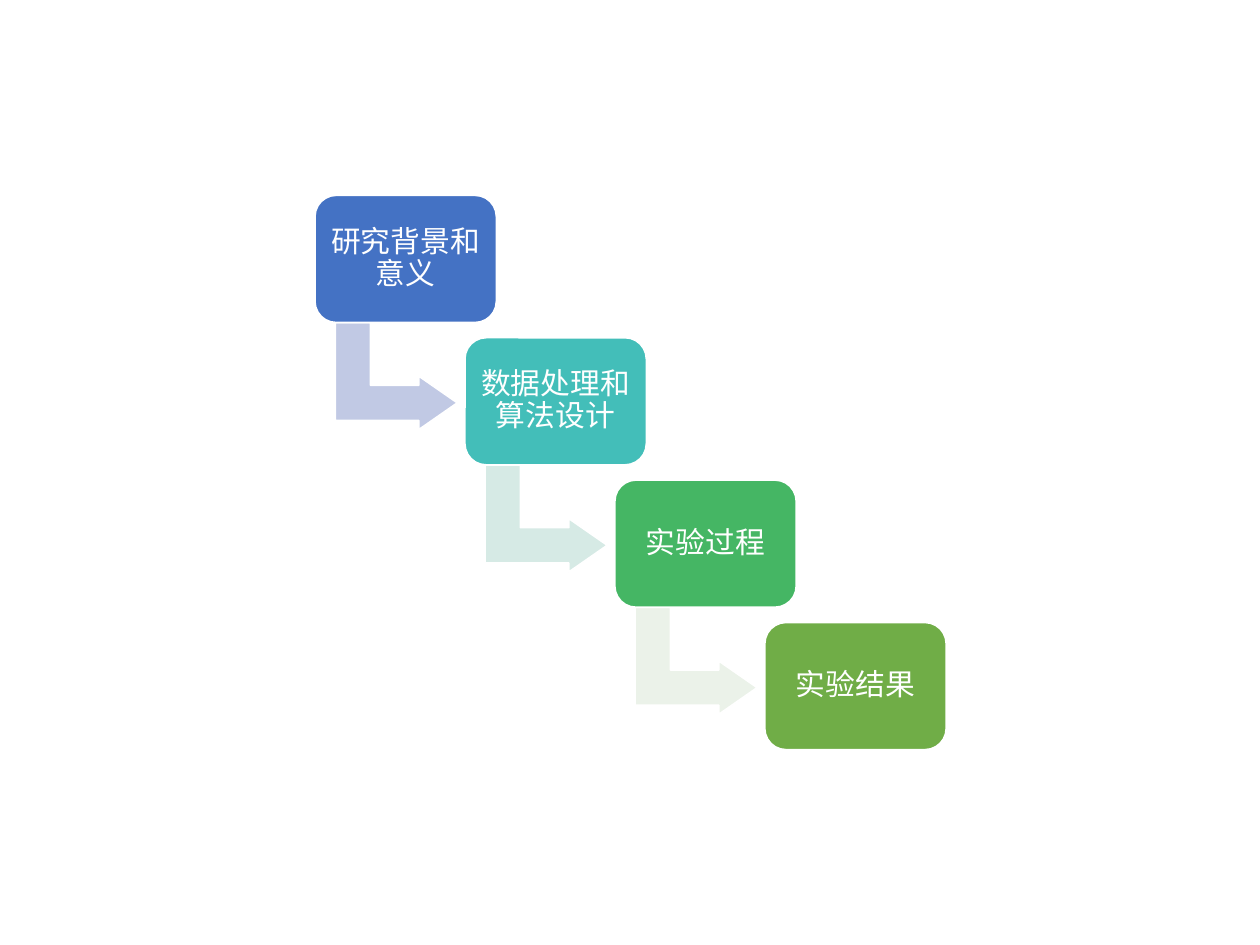
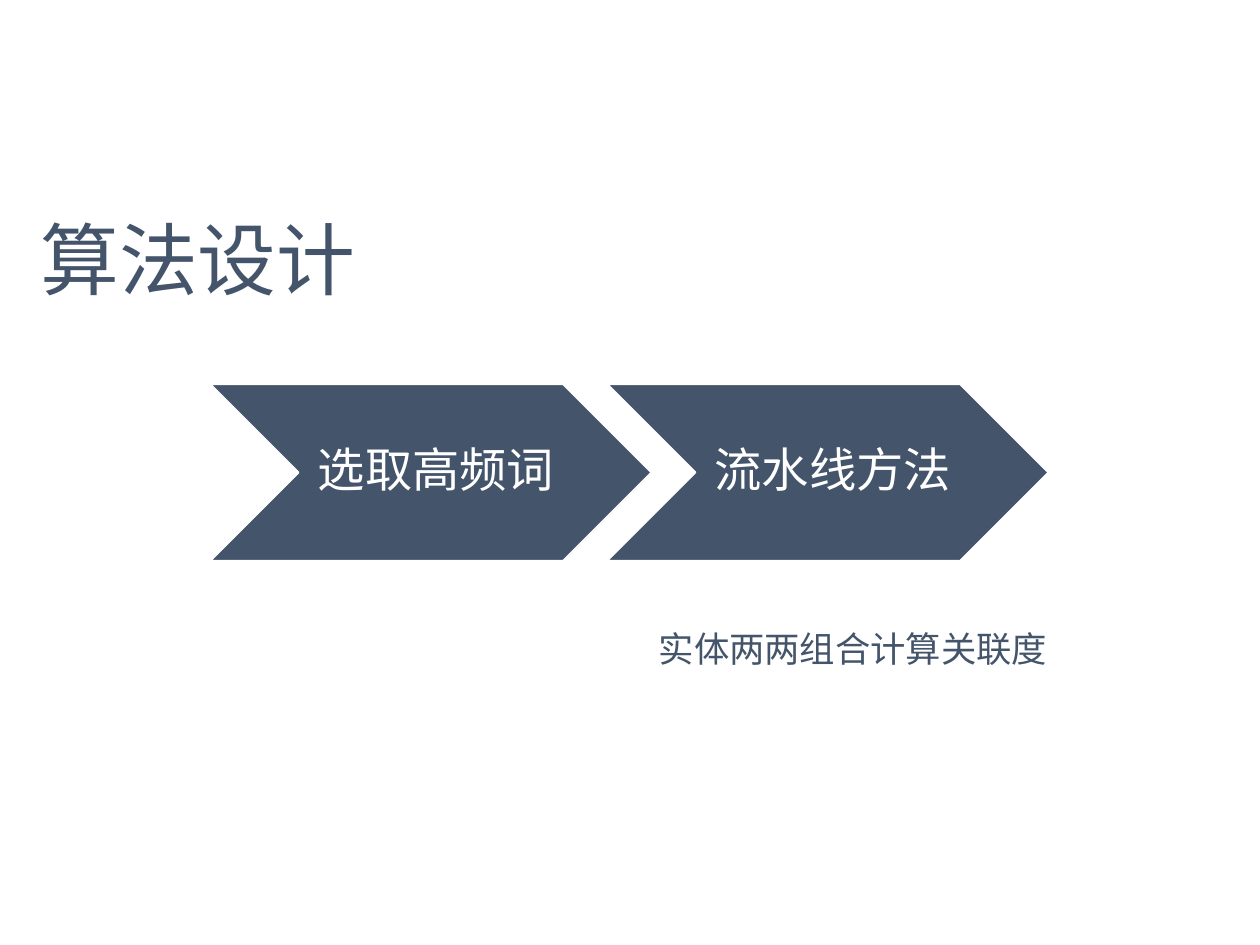
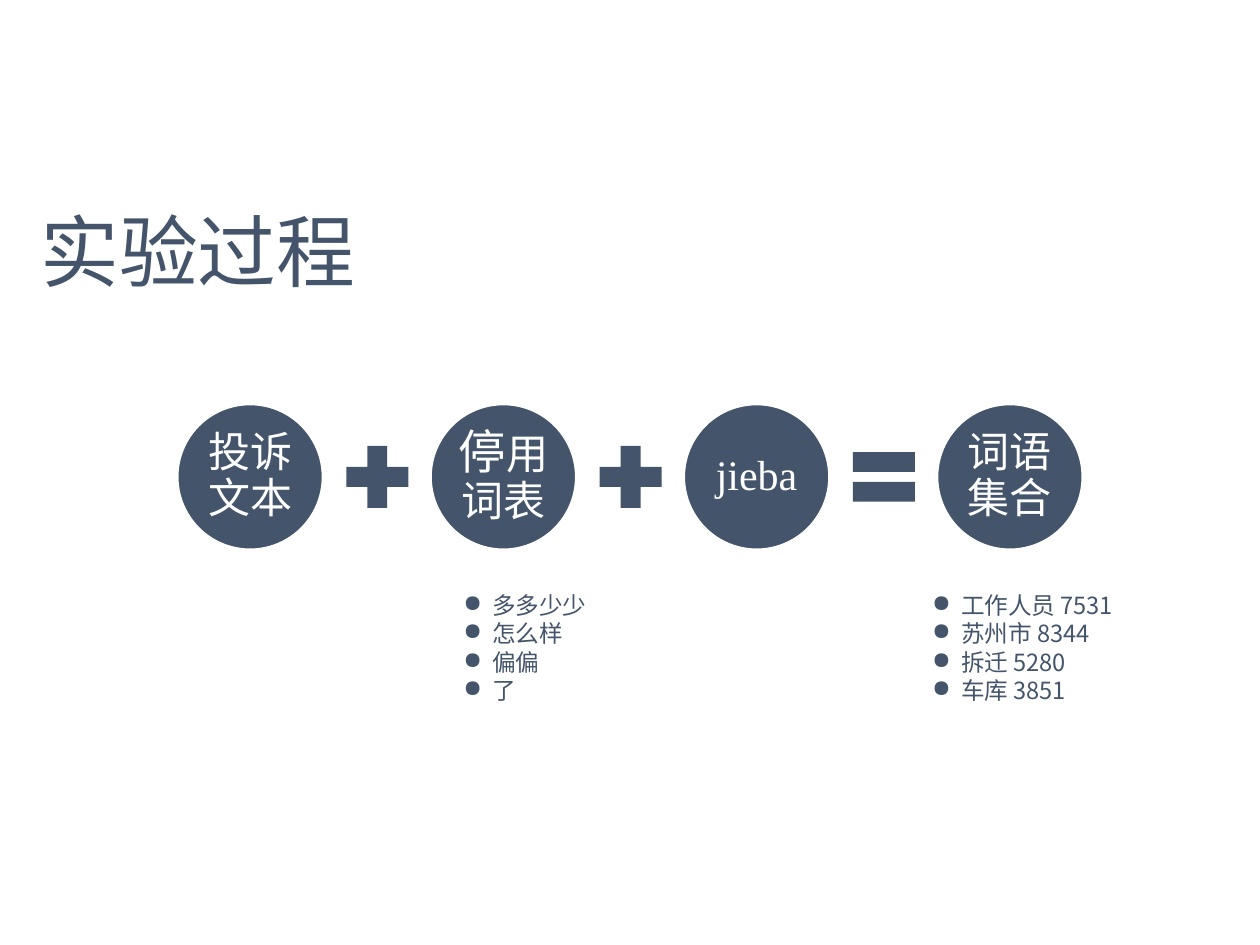
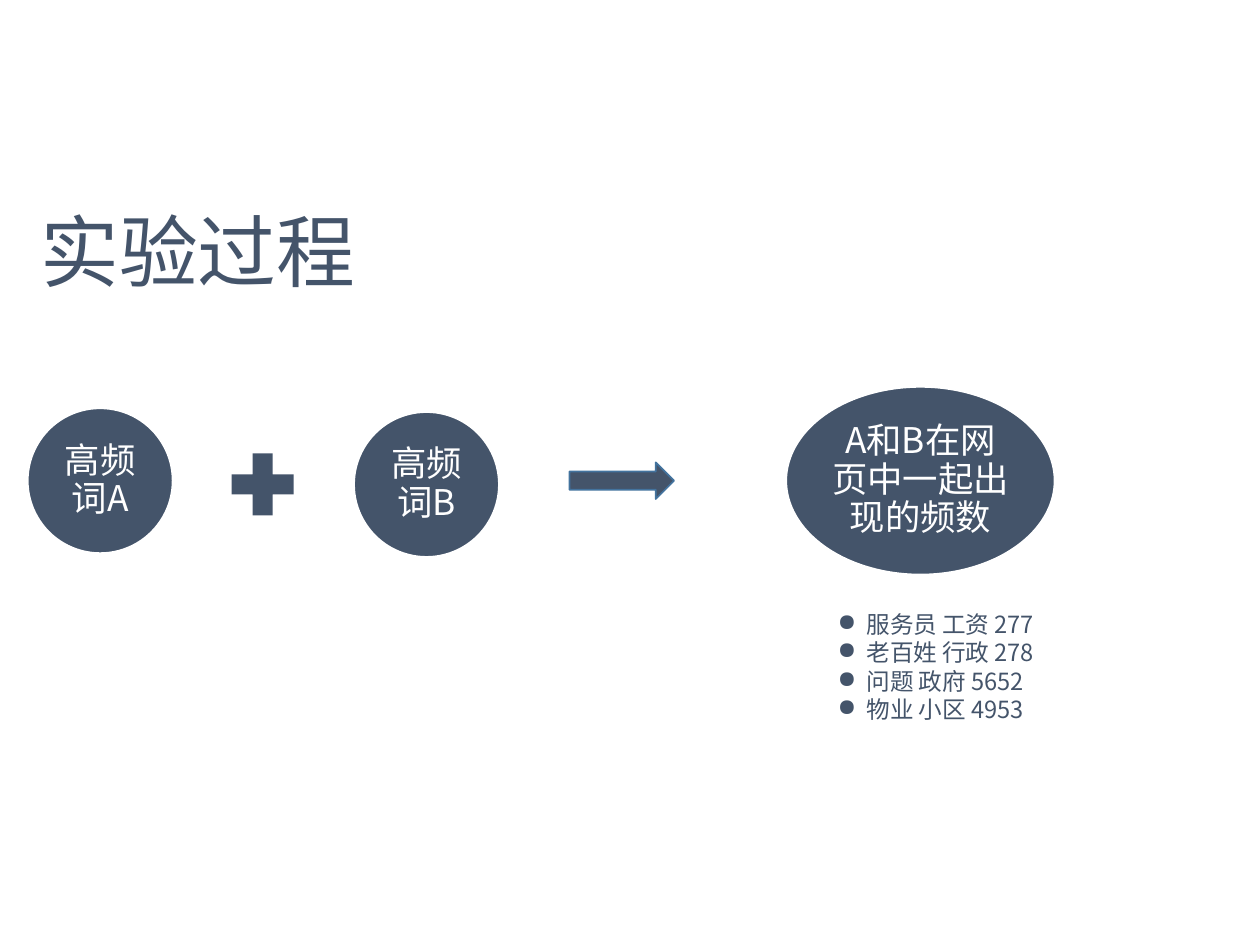
"""Build a four-slide deck on mining complaint texts for related words."""
from lxml import etree
from pptx import Presentation, util as u
from pptx.dml.color import RGBColor
from pptx.enum import shapes, text
from pptx.oxml import ns

SCALE = 9144
WHITE = RGBColor(0xFF, 0xFF, 0xFF)
SLATE = RGBColor(0x44, 0x54, 0x6A)
STEEL = RGBColor(0x43, 0x73, 0x9E)
STAIR_FILLS = [RGBColor.from_string(c) for c in ("4472C4", "43BEB9", "45B664", "70AD47")]
ARROW_FILLS = [RGBColor.from_string(c) for c in ("C1C9E4", "D6EAE5", "EBF2E9")]
CJK = "Noto Sans CJK SC"
LATIN = "Calibri"
SERIF = "Times New Roman"
KIND = shapes.MSO_SHAPE
CIRCLE = 115
OPERATOR = 67


def px(value):
    return u.Emu(value * SCALE)


class Deck:
    """Hold the shared style and the slide being filled."""

    def __init__(self):
        self.show = Presentation()
        self.show.slide_width, self.show.slide_height = px(1000), px(750)
        self.page = None

    def add_page(self, title=None, top=156):
        layouts = self.show.slide_layouts
        self.page = self.show.slides.add_slide(layouts[6 if title is None else 5])
        if title is not None:
            box = self.page.shapes.title
            box.left, box.top, box.width, box.height = px(22), px(top), px(272), px(86)
            self.fill_lines(box.text_frame, [title], 45)

    def add_span(self, para, words, size, color, font=CJK):
        span = para.add_run()
        span.text = words
        span.font.size = u.Pt(size)
        span.font.color.rgb = color
        span.font.name = font
        east = etree.SubElement(span.font._element, ns.qn("a:ea"))
        east.set("typeface", CJK)

    def fill_lines(self, frame, lines, size, font=CJK, bullets=False):
        frame.word_wrap = True
        frame.auto_size = text.MSO_AUTO_SIZE.SHAPE_TO_FIT_TEXT
        frame.vertical_anchor = text.MSO_ANCHOR.TOP
        for index, words in enumerate(lines):
            para = frame.add_paragraph() if index else frame.paragraphs[0]
            para.alignment = text.PP_ALIGN.LEFT
            if bullets:
                props = para._p.get_or_add_pPr()
                props.set("marL", str(px(23)))
                props.set("indent", str(px(-23)))
                etree.SubElement(props, ns.qn("a:buChar")).set("char", "●")
            self.add_span(para, words, size, SLATE, font)

    def add_text(self, left, top, width, height, lines, size, font=CJK, bullets=False):
        box = self.page.shapes.add_textbox(px(left), px(top), px(width), px(height))
        self.fill_lines(box.text_frame, lines, size, font, bullets)

    def add_shape(self, kind, left, top, width, height, fill=SLATE, line=WHITE):
        shape = self.page.shapes.add_shape(kind, px(left), px(top), px(width), px(height))
        shape.shadow.inherit = False
        shape.fill.solid()
        shape.fill.fore_color.rgb = fill
        if line is None:
            shape.line.fill.background()
        else:
            shape.line.color.rgb = line
            shape.line.width = u.Pt(1)
        return shape

    def add_label(self, shape, spans, font=CJK, insets=(3, 3, 3, 3)):
        frame = shape.text_frame
        frame.word_wrap = True
        frame.vertical_anchor = text.MSO_ANCHOR.MIDDLE
        (frame.margin_left, frame.margin_top,
         frame.margin_right, frame.margin_bottom) = map(px, insets)
        para = frame.paragraphs[0]
        para.alignment = text.PP_ALIGN.CENTER
        para.line_spacing = 0.9
        for words, size in spans:
            self.add_span(para, words, size, WHITE, font)

    def add_ellipse(self, left, top, spans, font=CJK, width=CIRCLE, height=CIRCLE):
        self.add_label(self.add_shape(KIND.OVAL, left, top, width, height), spans, font)

    def add_operator(self, kind, left, top):
        self.add_shape(kind, left, top, OPERATOR, OPERATOR, line=None)

    def add_bent_arrow(self, left, top, fill):
        arrow = self.add_shape(KIND.BENT_UP_ARROW, left, top, 85, 97, fill)
        arrow.rotation = 90
        for index, value in enumerate((0.33, 0.25, 0.36)):
            arrow.adjustments[index] = value


def build_outline(deck):
    deck.add_page()
    topics = ["研究背景和意义", "数据处理和算法设计", "实验过程", "实验结果"]
    for step, topic in enumerate(topics):
        across, down = 119 * step, 113 * step
        if step < len(ARROW_FILLS):
            deck.add_bent_arrow(272 + across, 250 + down, ARROW_FILLS[step])
        card = deck.add_shape(KIND.ROUNDED_RECTANGLE, 250 + across, 155 + down,
                              144, 101, STAIR_FILLS[step])
        deck.add_label(card, [(topic, 17)], LATIN, (7, 7, 7, 7))


def build_algorithm(deck):
    deck.add_page("算法设计", top=162)
    for step, stage in enumerate(["选取高频词", "流水线方法"]):
        chevron = deck.add_shape(KIND.CHEVRON, 167 + 315 * step, 305, 350, 140)
        deck.add_label(chevron, [(stage, 27)], insets=(12, 4, 4, 4))
    deck.add_text(513, 493, 336, 44, ["实体两两组合计算关联度"], 20.2)


def build_segmentation(deck):
    deck.add_page("实验过程")
    terms = [
        ([("投诉文本", 24)], CJK),
        ([("停", 27), ("用词表", 24)], CJK),
        ([("jieba", 24)], SERIF),
        ([("词语集合", 24)], CJK),
    ]
    operators = [KIND.MATH_PLUS, KIND.MATH_PLUS, KIND.MATH_EQUAL]
    for step, (spans, font) in enumerate(terms):
        deck.add_ellipse(141 + 201 * step, 321, spans, font)
        if step < len(operators):
            deck.add_operator(operators[step], 266 + 201 * step, 345)
    stop_words = ["多多少少", "怎么样", "偏偏", "了"]
    deck.add_text(358, 464, 130, 101, stop_words, 13.5, LATIN, bullets=True)
    counts = ["工作人员 7531", "苏州市 8344", "拆迁 5280", "车库 3851"]
    deck.add_text(730, 464, 171, 101, counts, 13.5, bullets=True)


def build_pairs(deck):
    deck.add_page("实验过程")
    deck.add_ellipse(22, 324, [("高频词A", 20.2)])
    deck.add_operator(KIND.MATH_PLUS, 175, 351)
    deck.add_ellipse(281, 327, [("高频词B", 20.2)])
    deck.add_shape(KIND.RIGHT_ARROW, 452, 367, 83, 29, line=STEEL)
    deck.add_ellipse(624, 307, [("A和B在网页中一起出现的频数", 20.2)], width=213, height=149)
    pairs = ["服务员 工资 277", "老百姓 行政 278", "问题 政府 5652", "物业 小区 4953"]
    deck.add_text(655, 479, 199, 101, pairs, 13.5, bullets=True)


def main():
    deck = Deck()
    for build in (build_outline, build_algorithm, build_segmentation, build_pairs):
        build(deck)
    deck.show.save("out.pptx")


if __name__ == "__main__":
    main()
